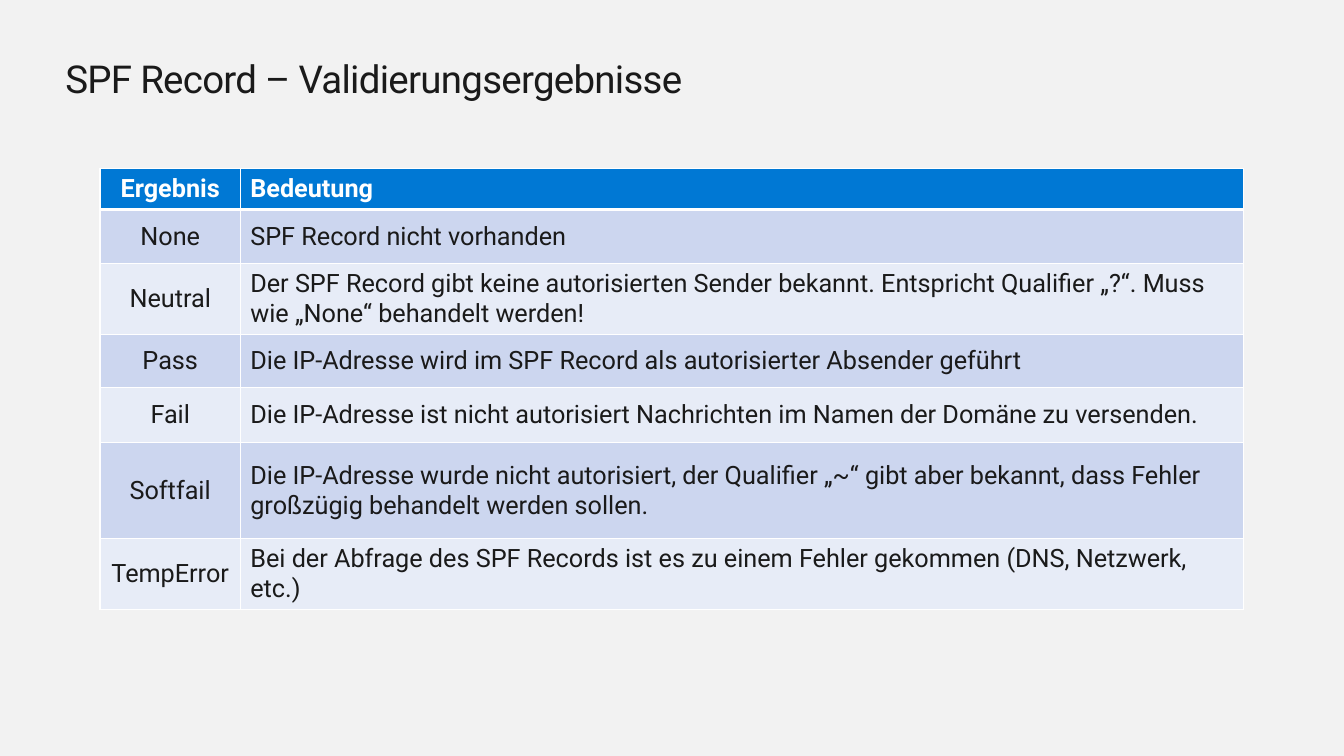
from dataclasses import dataclass

from lxml.etree import SubElement
from pptx import Presentation
from pptx.dml.color import RGBColor
from pptx.enum.text import MSO_ANCHOR, MSO_AUTO_SIZE, PP_ALIGN
from pptx.oxml.ns import qn
from pptx.util import Cm, Pt

BACK = RGBColor(0xF2, 0xF2, 0xF2)
INK = RGBColor(0x1A, 0x1A, 0x1A)
WHITE = RGBColor(0xFF, 0xFF, 0xFF)
BLUE = RGBColor(0x00, 0x78, 0xD4)
BANDS = (RGBColor(0xCC, 0xD6, 0xEF), RGBColor(0xE7, 0xEC, 0xF7))
FONT = "Roboto"
WIDTHS = (3.61, 25.78)


@dataclass(frozen=True)
class Row:
    result: str
    meaning: str
    height: float


HEAD = Row("Ergebnis", "Bedeutung", 1.04)
ROWS = (
    Row("None", "SPF Record nicht vorhanden", 1.4),
    Row("Neutral", "Der SPF Record gibt keine autorisierten Sender bekannt. "
        "Entspricht Qualifier „?“. Muss wie „None“ behandelt werden!", 1.55),
    Row("Pass", "Die IP-Adresse wird im SPF Record als autorisierter Absender geführt", 1.37),
    Row("Fail", "Die IP-Adresse ist nicht autorisiert Nachrichten im Namen der Domäne "
        "zu versenden.", 1.42),
    Row("Softfail", "Die IP-Adresse wurde nicht autorisiert, der Qualifier „~“ gibt aber "
        "bekannt, dass Fehler großzügig behandelt werden sollen.", 2.46),
    Row("TempError", "Bei der Abfrage des SPF Records ist es zu einem Fehler gekommen "
        "(DNS, Netzwerk, etc.)", 1.27),
)


def write(frame, text: str, *, size: float, color: RGBColor = INK, bold: bool = False,
          align: PP_ALIGN = PP_ALIGN.LEFT, spacing: float = 0) -> None:
    """Put formatted text into a text frame."""
    para = frame.paragraphs[0]
    para.alignment = align
    run = para.add_run()
    run.text = text
    font = run.font
    font.name, font.size, font.bold = FONT, Pt(size), bold
    font.color.rgb = color
    if spacing:
        font._element.set("spc", str(int(spacing * 100)))


def border(cell, side: str, index: int, width: float) -> None:
    """Draw one white cell edge; edges come before the fill."""
    props = cell._tc.get_or_add_tcPr()
    line = SubElement(props, qn(f"a:ln{side}"), w=str(Pt(width)))
    fill = SubElement(line, qn("a:solidFill"))
    SubElement(fill, qn("a:srgbClr"), val=str(WHITE))
    props.insert(index, line)


def fill_row(table, index: int, row: Row) -> None:
    """Fill and format one table row; row 0 is the header."""
    head = index == 0
    table.rows[index].height = Cm(row.height)
    aligns = (PP_ALIGN.CENTER, PP_ALIGN.LEFT)
    for col, (text, align) in enumerate(zip((row.result, row.meaning), aligns)):
        cell = table.cell(index, col)
        cell.vertical_anchor = MSO_ANCHOR.MIDDLE
        cell.fill.solid()
        cell.fill.fore_color.rgb = BLUE if head else BANDS[(index - 1) % 2]
        write(cell.text_frame, text, size=18.4, color=WHITE if head else INK,
              bold=head, align=align)
        for place, side in enumerate("LRTB"):
            thick = (head and side == "B") or (index == 1 and side == "T")
            border(cell, side, place, 3 if thick else 1)


def main() -> None:
    deck = Presentation()
    deck.slide_width, deck.slide_height = Cm(34.54), Cm(19.43)
    slide = deck.slides.add_slide(deck.slide_layouts[5])
    slide.background.fill.solid()
    slide.background.fill.fore_color.rgb = BACK

    # Title
    title = slide.shapes.title
    title.left, title.top, title.width, title.height = Cm(1.68), Cm(1.4), Cm(31.22), Cm(1.22)
    frame = title.text_frame
    frame.margin_left = frame.margin_right = frame.margin_top = frame.margin_bottom = 0
    frame.word_wrap = True
    frame.auto_size = MSO_AUTO_SIZE.SHAPE_TO_FIT_TEXT
    write(frame, "SPF Record – Validierungsergebnisse", size=28, spacing=-0.5)

    # Table of results
    rows = (HEAD, *ROWS)
    height = sum(row.height for row in rows)
    table = slide.shapes.add_table(len(rows), len(WIDTHS), Cm(2.57), Cm(4.34),
                                   Cm(sum(WIDTHS)), Cm(height)).table
    for column, width in zip(table.columns, WIDTHS):
        column.width = Cm(width)
    for index, row in enumerate(rows):
        fill_row(table, index, row)

    deck.save("out.pptx")


if __name__ == "__main__":
    main()
